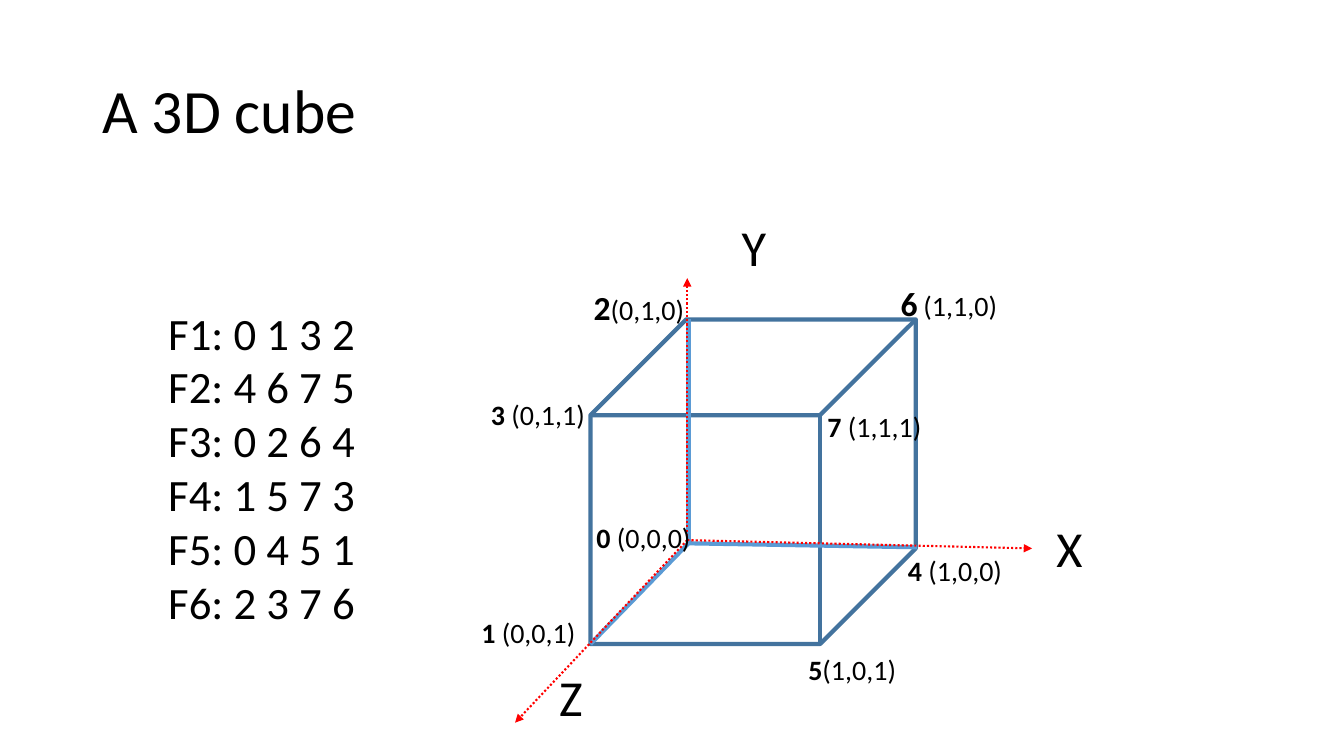
from collections import namedtuple

from lxml.etree import SubElement
from pptx import Presentation
from pptx.dml.color import RGBColor
from pptx.enum.dml import MSO_LINE
from pptx.enum.shapes import MSO_CONNECTOR, MSO_SHAPE
from pptx.enum.text import MSO_ANCHOR, MSO_AUTO_SIZE
from pptx.oxml.ns import qn
from pptx.util import Cm, Pt

COLORS = {"text": "000000", "cube": "43739E", "hidden": "5B9BD5", "axis": "FF0000"}
FONT = "Calibri"
Box = namedtuple("Box", "left top width height")

FACES = ["0 1 3 2", "4 6 7 5", "0 2 6 4", "1 5 7 3", "0 4 5 1", "2 3 7 6"]
VERTICES = [
    (2.9, 7.67, 2.92, [("0", 20), (" (0,0,0)", 20)]),
    (0, 10.06, 2.92, [("1", 20), (" (0,0,1)", 20)]),
    (2.83, 1.78, 2.82, [("2", 24), ("(0,1,0)", 20)]),
    (0.24, 4.55, 2.92, [("3", 20), (" (0,1,1)", 20)]),
    (10.75, 8.49, 2.92, [("4", 20), (" (1,0,0)", 20)]),
    (8.24, 11, 2.74, [("5", 20), ("(1,0,1)", 20)]),
    (10.57, 1.68, 2.97, [("6", 24), (" ", 18), ("(1,1,0)", 20)]),
    (8.72, 4.86, 2.92, [("7", 20), (" (1,1,1)", 20)]),
]
AXES = [
    ("X", (14.13, 8.49), (14.49, 7.57)),
    ("Y", (5.44, 1.68), (6.56, 0)),
    ("Z", (1.1, 12.88), (1.96, 11.33)),
]


def color(name):
    """Return the named colour."""
    return RGBColor.from_string(COLORS[name])


def add_text(page, box, paragraphs, wrap=False):
    """Add a text box whose paragraphs are lists of (text, size, bold) runs."""
    shape = page.shapes.add_textbox(*(Cm(length) for length in box))
    frame = shape.text_frame
    frame.word_wrap = wrap
    frame.auto_size = MSO_AUTO_SIZE.NONE if wrap else MSO_AUTO_SIZE.SHAPE_TO_FIT_TEXT
    for index, runs in enumerate(paragraphs):
        para = frame.add_paragraph() if index else frame.paragraphs[0]
        for text, size, bold in runs:
            span = para.add_run()
            span.text = text
            span.font.name = FONT
            span.font.size = Pt(size)
            span.font.bold = bold
            span.font.color.rgb = color("text")
    return frame


def add_line(page, box, start, end, name, width):
    """Draw a straight line between two points of the box."""
    points = [Cm(box.left + start[0]), Cm(box.top + start[1]),
              Cm(box.left + end[0]), Cm(box.top + end[1])]
    line = page.shapes.add_connector(MSO_CONNECTOR.STRAIGHT, *points)
    line.line.color.rgb = color(name)
    line.line.width = Pt(width)
    SubElement(line._element.spPr, qn("a:effectLst"))
    return line


def add_title(page, box):
    """Write the slide title."""
    frame = add_text(page, box, [[("A 3D cube", 44, False)]], wrap=True)
    frame.vertical_anchor = MSO_ANCHOR.MIDDLE
    frame.paragraphs[0].line_spacing = 0.9


def add_faces(page, box):
    """List the vertices of each face."""
    lines = [[(f"F{number}: {face}", 32, False)] for number, face in enumerate(FACES, 1)]
    add_text(page, box, lines)


def add_cube(page, box):
    """Draw the cube with its hidden edges."""
    cube = page.shapes.add_shape(MSO_SHAPE.CUBE, Cm(box.left + 3), Cm(box.top + 2.72),
                                 Cm(8.2), Cm(8.18))
    cube.adjustments[0] = 0.295
    cube.shadow.inherit = False
    cube.fill.background()
    cube.line.color.rgb = color("cube")
    cube.line.width = Pt(3)
    for corner in [(5.47, 2.72), (11.23, 8.46), (3, 10.9)]:
        add_line(page, box, (5.47, 8.36), corner, "hidden", 3)


def add_axes(page, box):
    """Draw the dotted axis arrows and their names."""
    for name, tip, place in AXES:
        arrow = add_line(page, box, (5.44, 8.28), tip, "axis", 1.5)
        arrow.line.dash_style = MSO_LINE.ROUND_DOT
        SubElement(arrow.line._get_or_add_ln(), qn("a:tailEnd"), type="triangle")
        label = Box(box.left + place[0], box.top + place[1], 1.15, 1.8)
        add_text(page, label, [[(name, 36, False)]])


def add_vertices(page, box):
    """Label each vertex with its bold number and coordinates."""
    for left, top, width, parts in VERTICES:
        height = 1.27 if parts[0][1] == 24 else 1.12
        label = Box(box.left + left, box.top + top, width, height)
        runs = [(text, size, text.isdigit()) for text, size in parts]
        add_text(page, label, [runs])


def add_figure(page, box):
    """Assemble the cube, its axes and its vertex labels."""
    add_cube(page, box)
    add_axes(page, box)
    add_vertices(page, box)


def main():
    """Build and save the deck."""
    deck = Presentation()
    deck.slide_width, deck.slide_height = Cm(33.87), Cm(19.05)
    page = deck.slides.add_slide(deck.slide_layouts[6])
    add_figure(page, Box(11.88, 5.33, 15.66, 13.13))
    add_faces(page, Box(3.99, 7.57, 5.28, 8.46))
    add_title(page, Box(2.33, 1.01, 29.21, 3.68))
    deck.save("out.pptx")


main()
